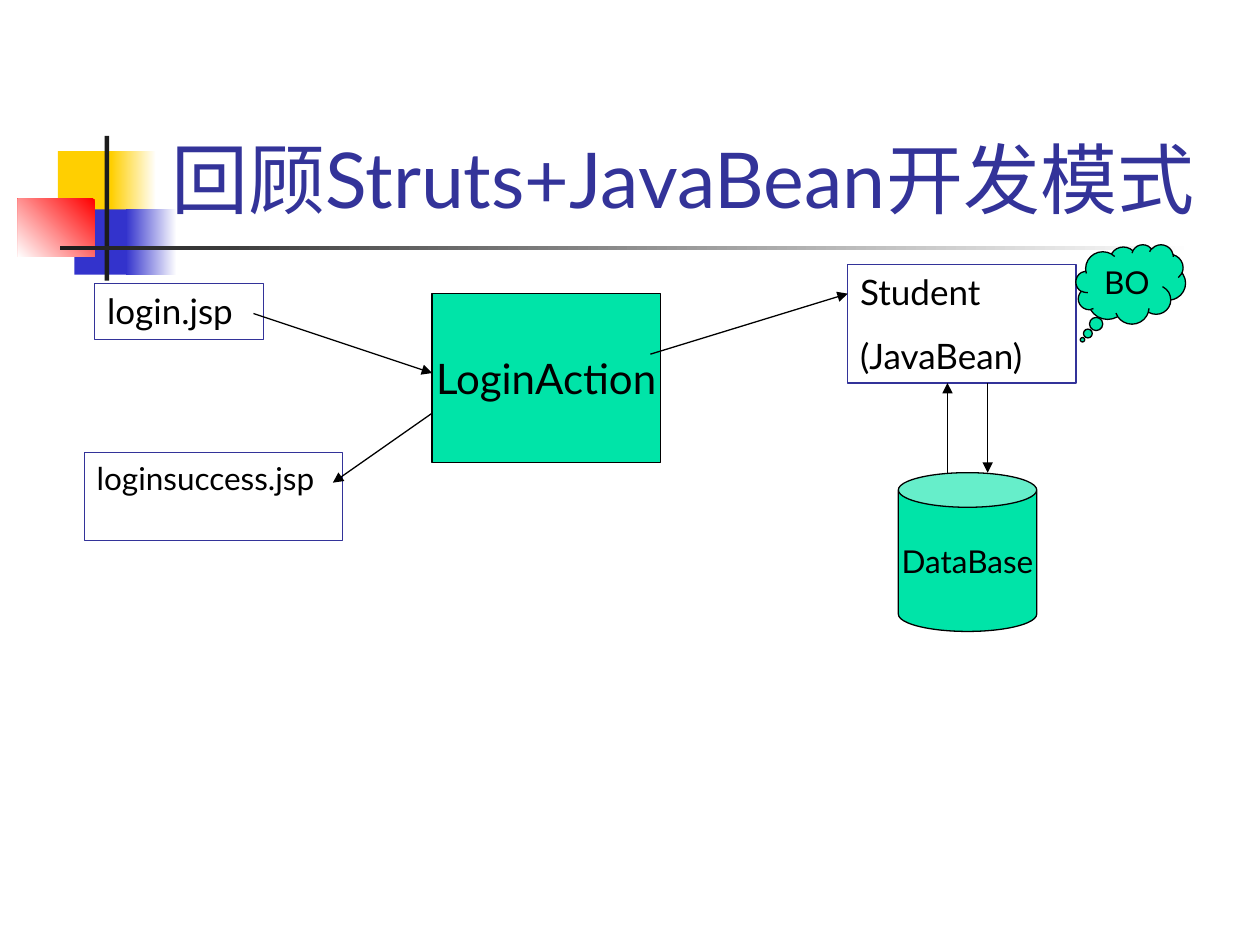
"""Build the Struts + JavaBean review slide."""
from dataclasses import dataclass
from typing import Optional

from lxml import etree
from pptx import Presentation
from pptx import util as u
from pptx.dml.color import RGBColor
from pptx.enum import shapes, text
from pptx.oxml import ns

WHITE = RGBColor(0xFF, 0xFF, 0xFF)
BLACK = RGBColor(0x00, 0x00, 0x00)
YELLOW = RGBColor(0xFF, 0xCF, 0x01)
BLUE = RGBColor(0x33, 0x33, 0xCC)
RED = RGBColor(0xFF, 0x00, 0x00)
DARK = RGBColor(0x1C, 0x1C, 0x1C)
NAVY = RGBColor(0x33, 0x33, 0x99)
GREEN = RGBColor(0x00, 0xE4, 0xA8)

KIND = shapes.MSO_SHAPE
PAGE = {"anchor": text.MSO_ANCHOR.TOP, "align": text.PP_ALIGN.LEFT, "wrap": True}
NODE = {"anchor": text.MSO_ANCHOR.MIDDLE, "align": text.PP_ALIGN.CENTER, "wrap": False}
CLOUD = {"anchor": text.MSO_ANCHOR.TOP, "align": text.PP_ALIGN.CENTER, "wrap": True}


@dataclass
class Block:
    at: tuple[float, float, float, float]
    start: RGBColor
    end: Optional[RGBColor] = None
    angle: float = 180


@dataclass
class Box:
    lines: list[str]
    at: tuple[float, float, float, float]
    size: int
    style: dict
    kind: shapes.MSO_SHAPE = KIND.RECTANGLE
    fill: Optional[RGBColor] = None
    line: RGBColor = BLACK
    adjust: tuple[float, ...] = ()


@dataclass
class Arrow:
    start: tuple[float, float]
    end: tuple[float, float]


BLOCKS = [
    Block((1.17, 3.05, 1.22, 1.32), YELLOW),
    Block((2.24, 3.05, 0.91, 1.32), WHITE, YELLOW),
    Block((1.5, 4.22, 1.17, 1.32), BLUE),
    Block((2.54, 4.22, 1.02, 1.32), WHITE, BLUE),
    Block((0.36, 4.01, 1.55, 1.17), RED, WHITE, 225),
    Block((2.11, 2.74, 0.09, 2.92), DARK),
    Block((1.22, 4.95, 22.86, 0.09), WHITE, DARK),
]
BOXES = [
    Box(["login.jsp"], (1.91, 5.72, 3.4, 1.12), 20, PAGE, line=NAVY),
    Box(["Student", "(JavaBean)"], (17.09, 5.33, 4.6, 2.39), 20, PAGE, line=NAVY),
    Box(["DataBase"], (18.11, 9.53, 2.79, 3.2), 18, NODE, KIND.CAN, GREEN, adjust=(0.25,)),
    Box(["loginsuccess.jsp"], (1.7, 9.12, 5.21, 1.78), 18, PAGE, line=NAVY),
    Box(["LoginAction"], (8.71, 5.92, 4.6, 3.4), 24, NODE, fill=GREEN),
    Box(["BO"], (21.69, 4.93, 2.21, 1.6), 18, CLOUD, KIND.CLOUD_CALLOUT, GREEN,
        adjust=(-0.44, 0.7)),
]
ARROWS = [
    Arrow((5.11, 6.32), (8.71, 7.52)),
    Arrow((19.91, 7.72), (19.91, 9.53)),
    Arrow((19.1, 9.53), (19.1, 7.72)),
    Arrow((8.71, 8.33), (6.71, 9.73)),
    Arrow((13.11, 7.14), (17.09, 5.92)),
]


def set_all(obj, values: dict) -> None:
    """Set every named attribute of an object."""
    for name, value in values.items():
        setattr(obj, name, value)


def write(p, words: str, size: int, color: RGBColor) -> None:
    """Add one formatted run to a paragraph."""
    r = p.add_run()
    r.text = words
    set_all(r.font, {"name": "Lato", "size": u.Pt(size)})
    r.font.color.rgb = color


def add_block(s, block: Block) -> None:
    """Draw a plain or graded decoration."""
    sp = s.shapes.add_shape(KIND.RECTANGLE, *map(u.Cm, block.at))
    sp.shadow.inherit = False
    sp.line.fill.background()
    if block.end is None:
        sp.fill.solid()
        sp.fill.fore_color.rgb = block.start
        return
    sp.fill.gradient()
    sp.fill.gradient_angle = block.angle
    for stop, color in zip(sp.fill.gradient_stops, (block.start, block.end)):
        stop.color.rgb = color


def add_title(s, words: str) -> None:
    """Place the title in front of the decorations."""
    sp = s.shapes.title
    places = zip(("left", "top", "width", "height"), map(u.Cm, (3.2, 0.58, 21.64, 4.06)))
    set_all(sp, dict(places))
    tf = sp.text_frame
    set_all(tf, {"vertical_anchor": text.MSO_ANCHOR.BOTTOM, "word_wrap": True,
                 "auto_size": text.MSO_AUTO_SIZE.NONE})
    p = tf.paragraphs[0]
    p.alignment = text.PP_ALIGN.LEFT
    write(p, words, 44, NAVY)
    s.shapes._spTree.append(sp._element)


def add_box(s, box: Box) -> None:
    """Draw a labelled shape."""
    sp = s.shapes.add_shape(box.kind, *map(u.Cm, box.at))
    sp.shadow.inherit = False
    for i, value in enumerate(box.adjust):
        sp.adjustments[i] = value
    if box.fill is None:
        sp.fill.background()
    else:
        sp.fill.solid()
        sp.fill.fore_color.rgb = box.fill
    sp.line.color.rgb = box.line
    sp.line.width = u.Pt(0.75)
    tf = sp.text_frame
    set_all(tf, {"vertical_anchor": box.style["anchor"], "word_wrap": box.style["wrap"]})
    for i, words in enumerate(box.lines):
        p = tf.add_paragraph() if i else tf.paragraphs[0]
        p.alignment = box.style["align"]
        if i:
            p.space_before = u.Pt(12.5)
        write(p, words, box.size, BLACK)


def add_arrow(s, arrow: Arrow) -> None:
    """Draw a straight line with a triangle at its end."""
    sp = s.shapes.add_connector(shapes.MSO_CONNECTOR.STRAIGHT,
                                *map(u.Cm, arrow.start + arrow.end))
    sp.line.color.rgb = BLACK
    sp.line.width = u.Pt(0.75)
    etree.SubElement(sp.line._get_or_add_ln(), ns.qn("a:tailEnd"), type="triangle")
    etree.SubElement(sp._element.spPr, ns.qn("a:effectLst"))


def main() -> None:
    """Assemble and save the slide."""
    prs = Presentation()
    set_all(prs, {"slide_width": u.Cm(25.4), "slide_height": u.Cm(19.05)})
    s = prs.slides.add_slide(prs.slide_layouts[5])
    for block in BLOCKS:
        add_block(s, block)
    add_title(s, "回顾Struts+JavaBean开发模式")
    for box in BOXES:
        add_box(s, box)
    for arrow in ARROWS:
        add_arrow(s, arrow)
    prs.save("out.pptx")


if __name__ == "__main__":
    main()
